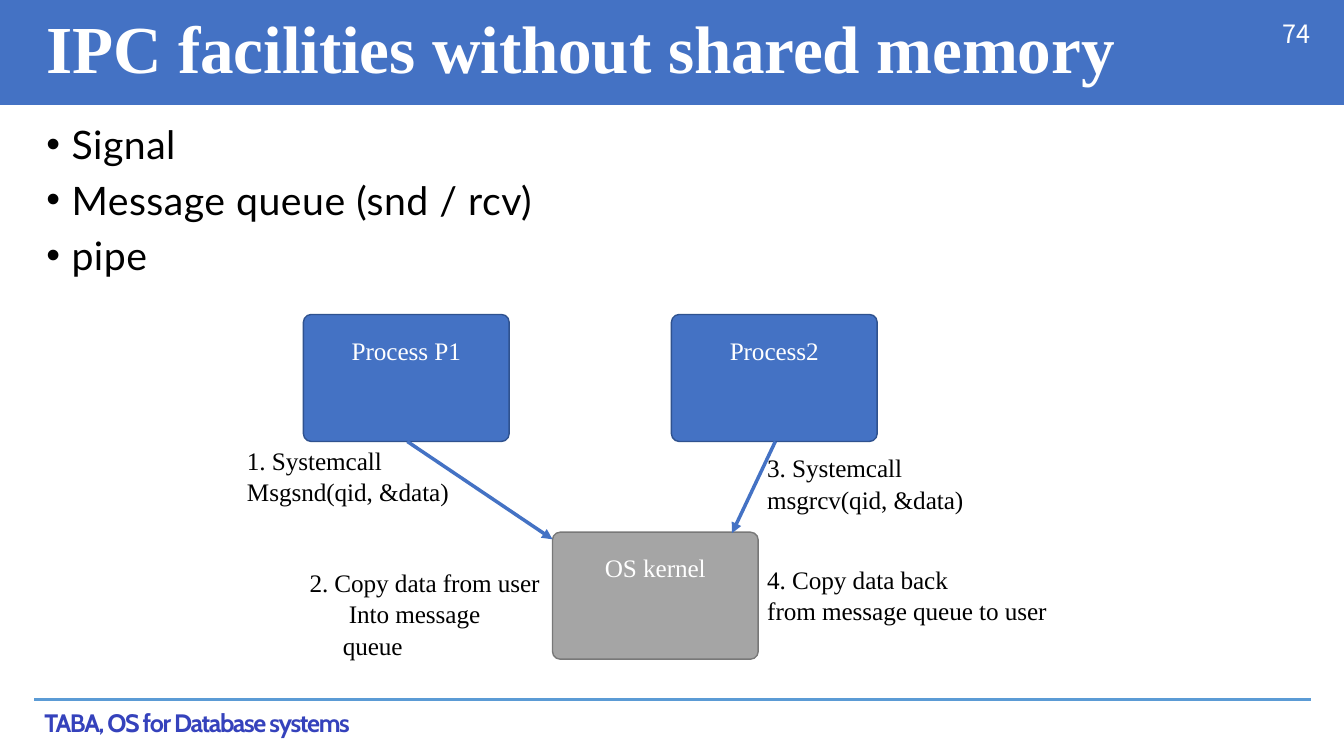
from pptx import Presentation, util as u
from pptx.dml.color import RGBColor
from pptx.enum import shapes, text
from pptx.oxml.ns import qn
from lxml import etree

BLUE, WHITE, BLACK = "4472C4", "FFFFFF", "000000"
SERIF = "Times New Roman"


def rgb(code):
    return RGBColor.from_string(code)


def write(shape, lines, size, face, color, bold=False, spacing=0, inset=0.01):
    frame = shape.text_frame
    frame.word_wrap = True
    frame.auto_size = text.MSO_AUTO_SIZE.NONE
    frame.vertical_anchor = text.MSO_ANCHOR.TOP
    frame.margin_left = frame.margin_right = frame.margin_bottom = 0
    frame.margin_top = u.Inches(inset)
    frame.text = "\n".join(lines)
    for para in frame.paragraphs:
        for span in para.runs:
            span.font.size = u.Pt(size)
            span.font.name = face
            span.font.bold = bold
            span.font.color.rgb = rgb(color)
            span.font._element.set("spc", str(spacing))
    return frame.paragraphs


deck = Presentation()
deck.slide_width, deck.slide_height = u.Inches(13.33), u.Inches(7.5)
page = deck.slides.add_slide(deck.slide_layouts[5])

# Header band, placed behind the title
band = page.shapes.add_shape(shapes.MSO_SHAPE.RECTANGLE, 0, 0, deck.slide_width, u.Inches(1.04))
band.shadow.inherit = False
band.fill.solid()
band.fill.fore_color.rgb = rgb(BLUE)
band.line.fill.background()
page.shapes._spTree.insert(2, band._element)

# Title
title = page.shapes.title
title.left, title.top, title.width, title.height = map(u.Inches, (0.46, 0.05, 11.2, 0.83))
write(title, ["IPC facilities without shared memory"], 48, SERIF, WHITE, True, -10)
title.text_frame.paragraphs[0].alignment = text.PP_ALIGN.LEFT

# Page number and footer
number = page.shapes.add_textbox(*map(u.Inches, (12.72, 0.17, 0.4, 0.33)))
write(number, ["74"], 18, "Noto Sans CJK JP", WHITE, spacing=-30)
footer = page.shapes.add_textbox(*map(u.Inches, (0.44, 7.02, 4, 0.33)))
write(footer, ["TABA, OS for Database systems"], 18, "Cabin", "3542BC", True, -98, 0)

# Bullet list
bullets = page.shapes.add_textbox(*map(u.Inches, (0.45, 1.09, 6, 1.69)))
items = ["Signal", "Message queue (snd / rcv)", "pipe"]
for para in write(bullets, items, 28, "Lato", BLACK, spacing=40, inset=0.1):
    para.space_before = u.Pt(6.3)
    layout = para._p.get_or_add_pPr()
    layout.set("marL", str(u.Inches(0.26)))
    layout.set("indent", str(u.Inches(-0.25)))
    etree.SubElement(layout, qn("a:buFont")).set("typeface", "Arial")
    etree.SubElement(layout, qn("a:buChar")).set("char", "•")

# Processes and kernel
for name, left, top, fill, edge in [
    ("Process P1", 3.01, 3.12, BLUE, "2F528F"),
    ("OS kernel", 5.48, 5.28, "A5A5A5", "787878"),
    ("Process2", 6.66, 3.12, BLUE, "2F528F"),
]:
    box = page.shapes.add_shape(
        shapes.MSO_SHAPE.ROUNDED_RECTANGLE, *map(u.Inches, (left, top, 2.04, 1.26)))
    box.adjustments[0] = 0.06
    box.shadow.inherit = False
    box.fill.solid()
    box.fill.fore_color.rgb = rgb(fill)
    box.line.color.rgb = rgb(edge)
    box.line.width = u.Pt(1)
    para = write(box, [name], 18, SERIF, WHITE, spacing=-5, inset=0.18)[0]
    para.alignment = text.PP_ALIGN.CENTER

# Footer rule and system call arrows
for ends, color, width, arrow in [
    ((0.34, 6.94, 13, 6.94), "5B9BD5", 1.5, False),
    ((4.04, 4.38, 5.48, 5.35), BLUE, 2.5, True),
    ((7.69, 4.38, 7.26, 5.29), BLUE, 2.5, True),
]:
    line = page.shapes.add_connector(shapes.MSO_CONNECTOR.STRAIGHT, *map(u.Inches, ends))
    line.line.color.rgb = rgb(color)
    line.line.width = u.Pt(width)
    if arrow:
        etree.SubElement(line.line._get_or_add_ln(), qn("a:tailEnd")).set("type", "triangle")
    etree.SubElement(line._element.spPr, qn("a:effectLst"))

# Numbered steps, each line with its own left indent
for left, top, lines in [
    (2.45, 4.4, [("1. Systemcall", 0), ("Msgsnd(qid, &data)", 0)]),
    (3.07, 5.61, [("2. Copy data from user", 0), ("Into message", 0.39), ("queue", 0.33)]),
    (7.61, 4.47, [("3. Systemcall", 0), ("msgrcv(qid, &data)", 0)]),
    (7.61, 5.58, [("4. Copy data back", 0), ("from message queue to user", 0)]),
]:
    step = page.shapes.add_textbox(*map(u.Inches, (left, top, 3, 0.3 * len(lines) + 0.03)))
    paras = write(step, [words for words, _ in lines], 18, SERIF, BLACK, spacing=-5)
    for para, (_, indent) in zip(paras, lines):
        para.line_spacing = 1.02
        para.space_before = u.Pt(0.6)
        para._p.get_or_add_pPr().set("marL", str(u.Inches(indent)))

deck.save("out.pptx")
